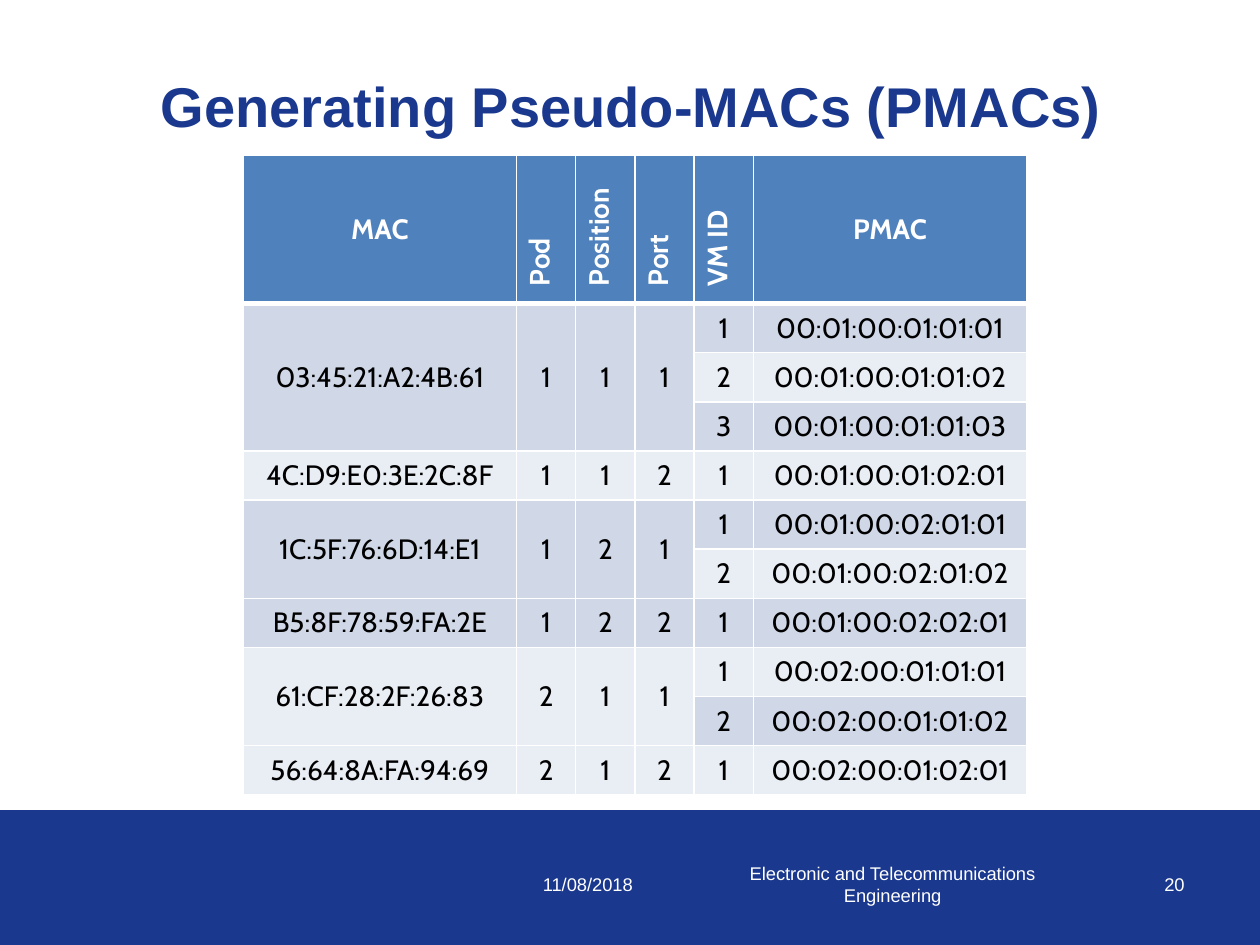
"""Build a slide with a table of pseudo-MAC addresses."""
from pptx import Presentation
from pptx.dml.color import RGBColor
from pptx.enum.shapes import MSO_SHAPE as Kind
from pptx.enum.text import MSO_ANCHOR as Anchor, PP_ALIGN as Align
from pptx.oxml import parse_xml
from pptx.oxml.ns import nsdecls
from pptx.util import Inches, Pt


def tint(code):
    return RGBColor.from_string(code)


def write(frame, text, size, name, code, bold, align):
    para = frame.paragraphs[0]
    para.alignment = align
    run = para.add_run()
    run.text = text
    look = {"size": Pt(size), "name": name, "bold": bold}
    for key, val in look.items():
        setattr(run.font, key, val)
    run.font.color.rgb = tint(code)


NAVY, WHITE = "1A388D", "FFFFFF"
deck = Presentation()
deck.slide_width, deck.slide_height = Inches(10), Inches(7.5)
slide = deck.slides.add_slide(deck.slide_layouts[5])

band = slide.shapes.add_shape(
    Kind.RECTANGLE, Inches(0), Inches(6.43), Inches(10), Inches(1.07))
band.shadow.inherit = False
band.fill.solid()
band.fill.fore_color.rgb = tint(NAVY)
band.line.fill.background()

title = slide.shapes.title
place = {"left": 0.51, "top": 0.21, "width": 9, "height": 1.25}
for key, val in place.items():
    setattr(title, key, Inches(val))
title.text_frame.vertical_anchor = Anchor.MIDDLE
write(title.text_frame, "Generating Pseudo-MACs (PMACs)", 32, "Arial", NAVY,
      True, Align.CENTER)

heads = ["MAC", "Pod", "Position", "Port", "VM ID", "PMAC"]
hosts = [
    ("03:45:21:A2:4B:61", 1, 1, 1, 3),
    ("4C:D9:E0:3E:2C:8F", 1, 1, 2, 1),
    ("1C:5F:76:6D:14:E1", 1, 2, 1, 2),
    ("B5:8F:78:59:FA:2E", 1, 2, 2, 1),
    ("61:CF:28:2F:26:83", 2, 1, 1, 2),
    ("56:64:8A:FA:94:69", 2, 1, 2, 1),
]
rows = [heads]
spans = []
for mac, pod, pos, port, count in hosts:
    spans.append((len(rows), count))
    for vm in range(1, count + 1):
        pmac = f"00:{pod:02}:00:{pos:02}:{port:02}:{vm:02}"
        lead = [mac, pod, pos, port] if vm == 1 else [""] * 4
        rows.append(lead + [vm, pmac])

wide = [2.17] + [0.47] * 4 + [2.17]
tall = [1.18] + [0.39] * (len(rows) - 1)
grid = slide.shapes.add_table(
    len(rows), len(wide), Inches(1.93), Inches(1.23),
    Inches(sum(wide)), Inches(sum(tall))).table
for col, val in zip(grid.columns, wide):
    col.width = Inches(val)
for row, val in zip(grid.rows, tall):
    row.height = Inches(val)

form = {
    "vertical_anchor": Anchor.MIDDLE,
    "margin_left": Inches(0.14), "margin_right": Inches(0.14),
    "margin_top": Inches(0.05), "margin_bottom": Inches(0.05),
}
for r, row in enumerate(rows):
    head = r == 0
    for c, text in enumerate(row):
        cell = grid.cell(r, c)
        for key, val in form.items():
            setattr(cell, key, val)
        props = cell._tc.get_or_add_tcPr()
        for side in "LRTB":
            thick = (r, side) in [(0, "B"), (1, "T")]
            props.append(parse_xml(
                f'<a:ln{side} {nsdecls("a")} w="{Pt(3 if thick else 1)}">'
                f'<a:solidFill><a:srgbClr val="{WHITE}"/></a:solidFill>'
                f'</a:ln{side}>'))
        cell.fill.solid()
        cell.fill.fore_color.rgb = tint(
            "4F81BD" if head else "D0D8E8" if r % 2 else "E9EDF4")
        turn = head and 0 < c < 5
        if turn:
            props.set("vert", "vert270")
        if text != "":
            write(cell.text_frame, str(text), 16, "Cabin",
                  WHITE if head else "000000", head,
                  Align.LEFT if turn else Align.CENTER)
for top, count in spans:
    if count > 1:
        for c in range(4):
            grid.cell(top, c).merge(grid.cell(top + count - 1, c))

notes = [
    (4.21, 1.34, "11/08/2018", Align.LEFT),
    (5.63, 2.91, "Electronic and Telecommunications Engineering", Align.CENTER),
    (8.62, 0.88, "20", Align.RIGHT),
]
for left, width, text, align in notes:
    box = slide.shapes.add_textbox(
        Inches(left), Inches(6.82), Inches(width), Inches(0.4))
    box.text_frame.word_wrap = True
    box.text_frame.vertical_anchor = Anchor.MIDDLE
    write(box.text_frame, text, 10.5, "Arial", WHITE, False, align)

deck.save("out.pptx")
